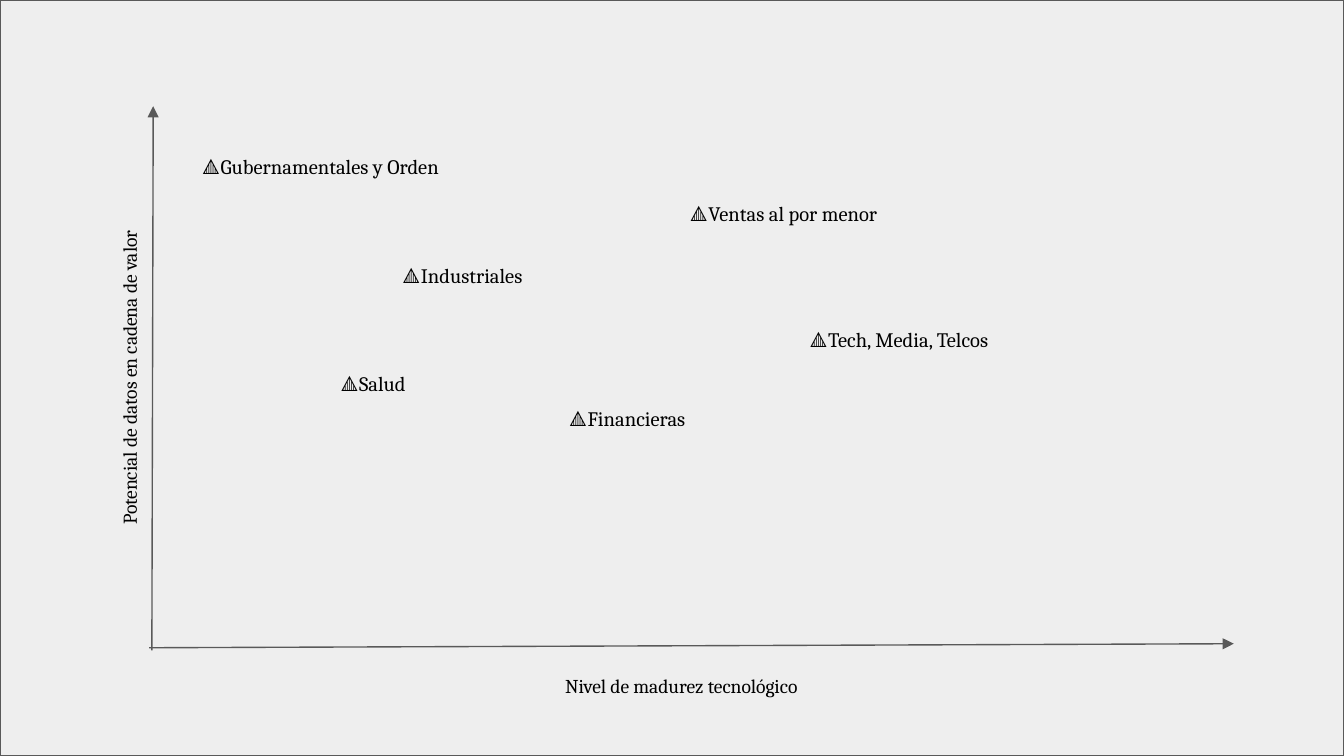
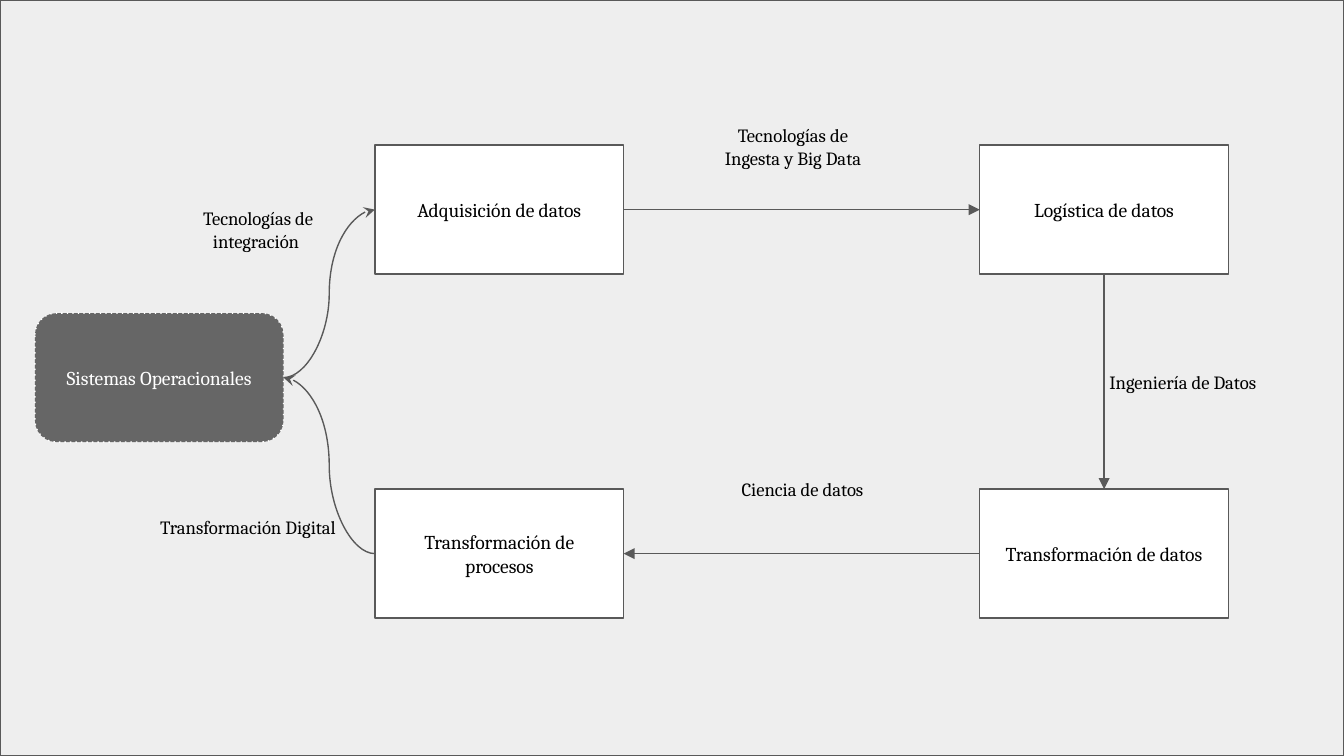
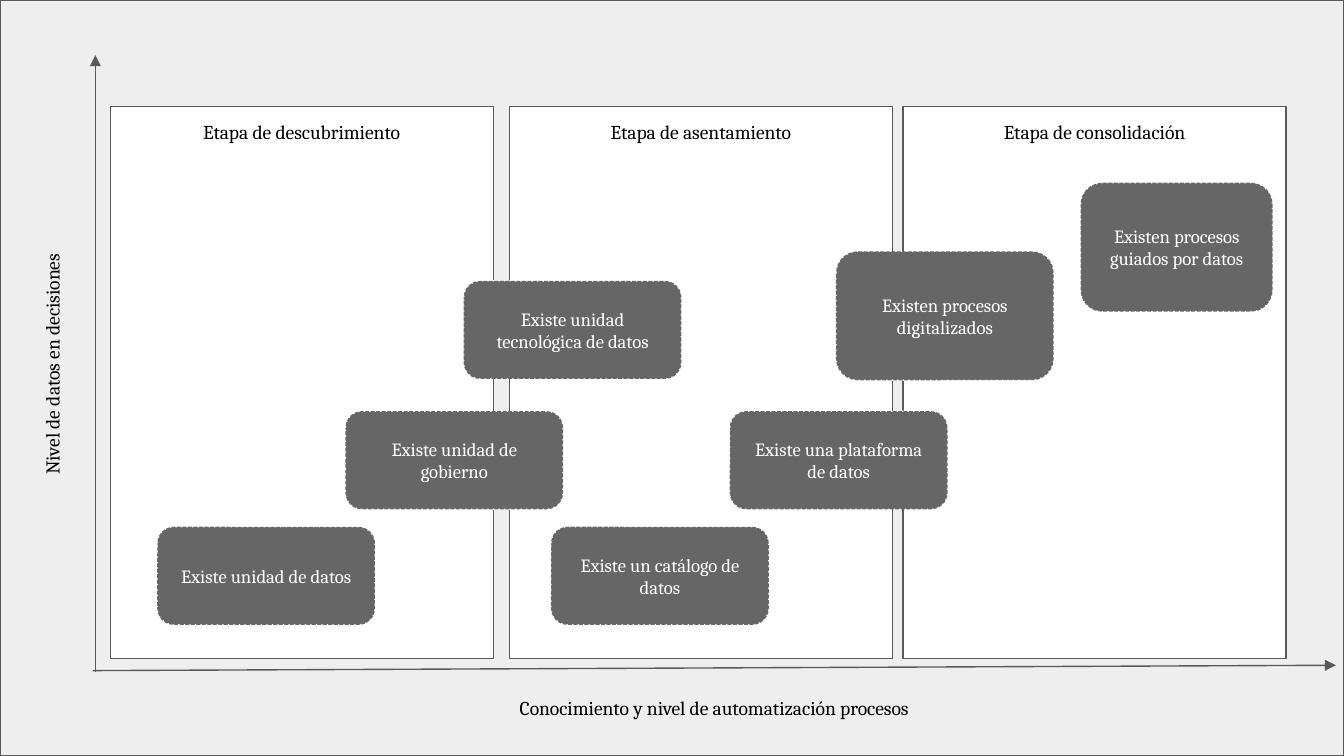
from dataclasses import dataclass

from lxml.etree import SubElement
from pptx import Presentation
from pptx.dml.color import RGBColor
from pptx.enum.shapes import MSO_CONNECTOR as Link, MSO_SHAPE as Preset
from pptx.enum.text import MSO_ANCHOR as Anchor, PP_ALIGN as Align
from pptx.oxml.ns import qn
from pptx.util import Inches, Pt


@dataclass(frozen=True)
class Theme:
    """Colours, font, sizes and line style shared by all slides."""
    width: float = 10
    height: float = 10 * 9 / 16
    inset: float = 0.1
    corner: float = 0.167
    font: str = "Cambria"
    backdrop: str = "EEEEEE"
    line: str = "595959"
    dark: str = "666666"
    white: str = "FFFFFF"
    black: str = "000000"
    line_width: float = 0.75
    marker_size: float = 12
    sector_size: float = 11
    body_size: float = 10.5
    small_size: float = 10


THEME = Theme()

# Slide 1: sectors placed by maturity and potential (left, top, width, height)
MARKER = "\U0001F53A"
SECTORS = [
    ("Industriales", (2.89, 1.84, 1.89, 0.73)),
    ("Ventas al por menor", (5.03, 1.38, 2.66, 0.63)),
    ("Tech, Media, Telcos", (5.92, 2.32, 2.96, 0.73)),
    ("Financieras", (4.13, 2.91, 1.89, 0.73)),
    ("Salud", (2.43, 2.65, 1.89, 0.73)),
    ("Gubernamentales y Orden", (1.4, 1.03, 3.38, 0.73)),
]
SECTOR_AXES = {
    "lines": [(1.13, 4.84, 1.14, 0.79), (1.11, 4.82, 9.18, 4.79)],
    "across": ("Nivel de madurez tecnológico", (2.94, 4.79, 4.26, 0.63)),
    "up": ("Potencial de datos en cadena de valor", (-1.52, 2.54, 4.96, 0.54)),
}

# Slide 2: the data cycle
STEP_SIZE = (1.85, 0.96)
STEP_LEFTS, STEP_TOPS = (2.79, 7.29), (1.08, 3.64)
SOURCE = ("Sistemas Operacionales", (0.26, 2.33))
STEPS = [  # text, column, row
    ("Adquisición de datos", 0, 0),
    ("Logística de datos", 1, 0),
    ("Transformación de datos", 1, 1),
    ("Transformación de procesos", 0, 1),
]
TOP, LEFT, BOTTOM, RIGHT = range(4)
FLOWS = [  # start box, side, end box, side, kind, arrowhead (box 0 is the source)
    (0, RIGHT, 1, LEFT, Link.CURVE, "stealth"),
    (4, LEFT, 0, RIGHT, Link.CURVE, "stealth"),
    (1, RIGHT, 2, LEFT, Link.STRAIGHT, "triangle"),
    (2, BOTTOM, 3, TOP, Link.STRAIGHT, "triangle"),
    (3, LEFT, 4, RIGHT, Link.STRAIGHT, "triangle"),
]
FLOW_LABELS = [  # text, left, top, width
    ("Tecnologías de integración ", 1.2, 1.23, 1.44),
    ("Tecnologías de Ingesta y Big Data", 5.18, 0.61, 1.44),
    ("Ingeniería de Datos", 8.08, 2.36, 1.44),
    ("Ciencia de datos", 5.25, 3.16, 1.44),
    ("Transformación Digital", 1.06, 3.44, 1.57),
]

# Slide 3: stages and milestones
STAGE_TOP, STAGE_SIZE = 0.79, (2.85, 4.11)
STAGES = [
    ("Etapa de descubrimiento", 0.82),
    ("Etapa de asentamiento", 3.79),
    ("Etapa de consolidación", 6.72),
]
MILESTONES = [
    ("Existe unidad de datos", (1.17, 3.92, 1.62, 0.73)),
    ("Existe unidad de gobierno", (2.57, 3.06, 1.62, 0.73)),
    ("Existen procesos digitalizados", (6.22, 1.87, 1.62, 0.96)),
    ("Existe unidad tecnológica de datos", (3.45, 2.09, 1.62, 0.73)),
    ("Existe un catálogo de datos", (4.1, 3.92, 1.62, 0.73)),
    ("Existe una plataforma de datos", (5.43, 3.06, 1.62, 0.73)),
    ("Existen procesos guiados por datos", (8.04, 1.36, 1.43, 0.96)),
]
STAGE_AXES = {
    "lines": [(0.69, 4.99, 9.94, 4.95), (0.71, 5, 0.71, 0.41)],
    "across": ("Conocimiento y nivel de automatización procesos",
               (2.41, 4.95, 5.81, 0.63)),
    "up": ("Nivel de datos en decisiones", (-1.81, 2.4, 4.39, 0.62)),
}


def inches(values):
    """Turn plain numbers into lengths."""
    return [Inches(value) for value in values]


def write(shape, spans, color=THEME.black, align=Align.CENTER, anchor=Anchor.MIDDLE):
    """Fill a shape with one paragraph of (text, size) spans."""
    frame = shape.text_frame
    margin = Inches(THEME.inset)
    settings = {"word_wrap": True, "vertical_anchor": anchor,
                "margin_left": margin, "margin_right": margin,
                "margin_top": margin, "margin_bottom": margin}
    for name, value in settings.items():
        setattr(frame, name, value)
    para = frame.paragraphs[0]
    para.alignment = align
    for text, size in spans:
        span = para.add_run()
        span.text = text
        for name, value in {"name": THEME.font, "size": Pt(size)}.items():
            setattr(span.font, name, value)
        span.font.color.rgb = RGBColor.from_string(color)


def draw_line(shape, color=THEME.line):
    """Give a shape or connector the shared line and return its XML."""
    shape.line.color.rgb = RGBColor.from_string(color)
    shape.line.width = Pt(THEME.line_width)
    return shape._element.spPr.find(qn("a:ln"))


def add_box(page, place, fill=THEME.white, preset=Preset.RECTANGLE):
    """Add a filled, outlined box without shadow."""
    box = page.shapes.add_shape(preset, *inches(place))
    box.shadow.inherit = False
    box.fill.solid()
    box.fill.fore_color.rgb = RGBColor.from_string(fill)
    draw_line(box)
    return box


def add_dark_box(page, text, place, size):
    """Add a rounded dark box with a dotted white outline."""
    box = add_box(page, place, THEME.dark, Preset.ROUNDED_RECTANGLE)
    box.adjustments[0] = THEME.corner
    SubElement(draw_line(box, THEME.white), qn("a:prstDash")).set("val", "dot")
    write(box, [(text, size)], THEME.white)
    return box


def add_label(page, spans, place, **layout):
    """Add a text box."""
    label = page.shapes.add_textbox(*inches(place))
    write(label, spans, **layout)
    return label


def add_arrow(page, ends=(0, 0, 0, 0), kind=Link.STRAIGHT, head="triangle"):
    """Add a connector with an arrowhead at its end."""
    arrow = page.shapes.add_connector(kind, *inches(ends))
    SubElement(draw_line(arrow), qn("a:tailEnd")).set("type", head)
    SubElement(arrow._element.spPr, qn("a:effectLst"))
    return arrow


def add_axes(page, axes):
    """Draw both axis arrows and their captions."""
    for ends in axes["lines"]:
        add_arrow(page, ends)
    for side, angle in (("across", 0), ("up", 270)):
        text, place = axes[side]
        add_label(page, [(text, THEME.body_size)], place).rotation = angle


def add_page(deck):
    """Add a blank slide with the shared backdrop."""
    page = deck.slides.add_slide(deck.slide_layouts[6])
    add_box(page, (0, 0, THEME.width, THEME.height), THEME.backdrop)
    return page


def build_sectors(deck):
    """Slide 1: sectors on two axes."""
    page = add_page(deck)
    for name, place in SECTORS:
        spans = [(MARKER, THEME.marker_size), (name, THEME.sector_size)]
        add_label(page, spans, place, align=Align.LEFT, anchor=Anchor.TOP)
    add_axes(page, SECTOR_AXES)


def build_cycle(deck):
    """Slide 2: boxes joined into a cycle."""
    page = add_page(deck)
    text, corner = SOURCE
    boxes = [add_dark_box(page, text, corner + STEP_SIZE, THEME.body_size)]
    for text, column, row in STEPS:
        box = add_box(page, (STEP_LEFTS[column], STEP_TOPS[row]) + STEP_SIZE)
        write(box, [(text, THEME.body_size)])
        boxes.append(box)
    for start, start_side, end, end_side, kind, head in FLOWS:
        arrow = add_arrow(page, kind=kind, head=head)
        arrow.begin_connect(boxes[start], start_side)
        arrow.end_connect(boxes[end], end_side)
    for text, left, top, width in FLOW_LABELS:
        add_label(page, [(text, THEME.small_size)], (left, top, width, STEP_SIZE[1]))


def build_stages(deck):
    """Slide 3: milestones over three stages."""
    page = add_page(deck)
    add_axes(page, STAGE_AXES)
    for text, left in STAGES:
        box = add_box(page, (left, STAGE_TOP) + STAGE_SIZE)
        write(box, [(text, THEME.body_size)], anchor=Anchor.TOP)
    for text, place in MILESTONES:
        add_dark_box(page, text, place, THEME.small_size)


deck = Presentation()
deck.slide_width, deck.slide_height = inches((THEME.width, THEME.height))
for build in (build_sectors, build_cycle, build_stages):
    build(deck)
deck.save("out.pptx")
